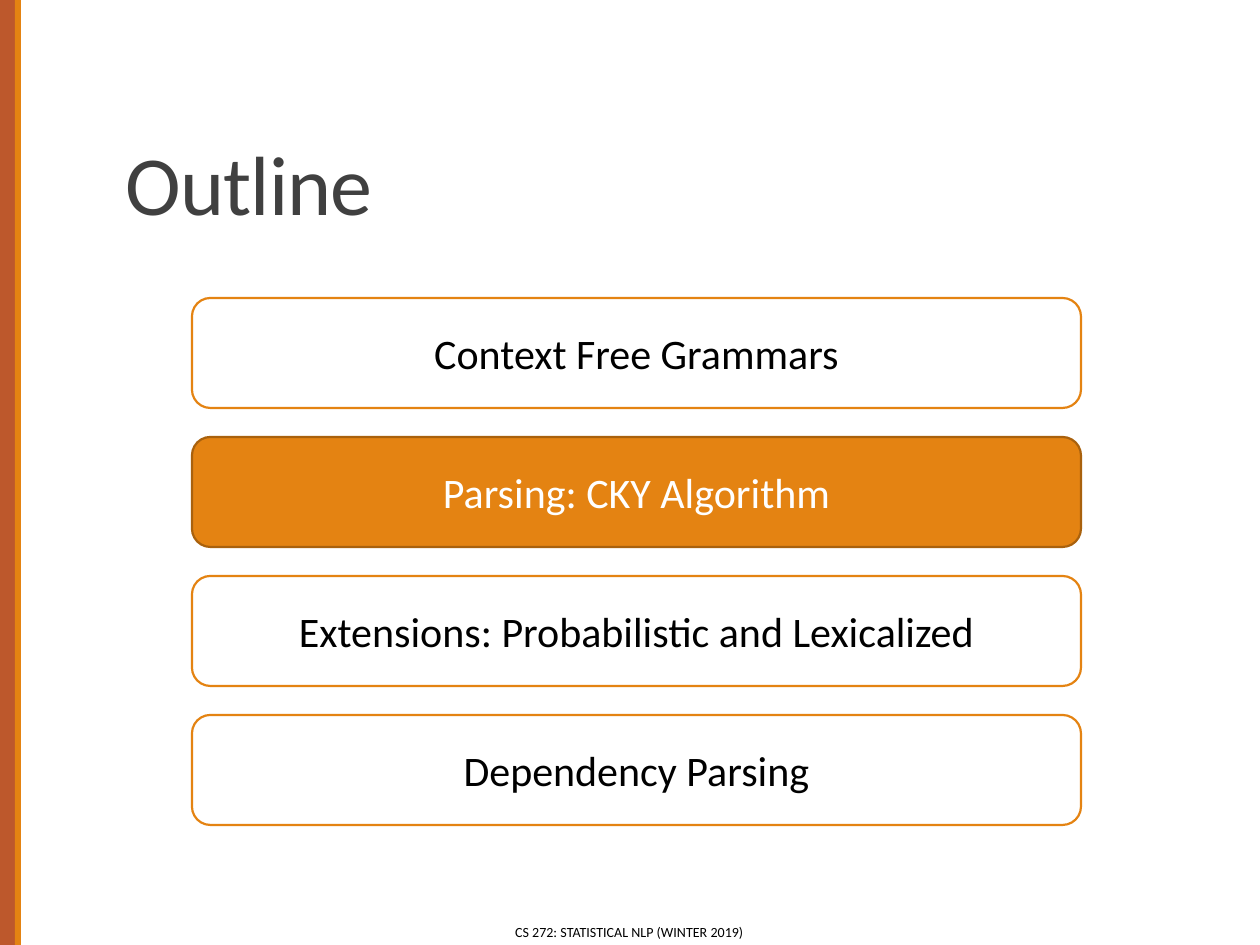
from pptx import Presentation
from pptx.dml.color import RGBColor
from pptx.enum.shapes import MSO_SHAPE as Shape
from pptx.enum.text import MSO_ANCHOR as Anchor, MSO_AUTO_SIZE as AutoSize, PP_ALIGN as Align
from pptx.util import Emu, Pt

PX = 914400 / 126
PAGE_W, PAGE_H = 1260, 945
FONT = "Calibri"

RUST = RGBColor(0xBD, 0x58, 0x2C)
ORANGE = RGBColor(0xE4, 0x83, 0x12)
DARK_ORANGE = RGBColor(0xA9, 0x61, 0x0D)
GREY = RGBColor(0x40, 0x40, 0x40)
BLACK = RGBColor(0, 0, 0)
WHITE = RGBColor(0xFF, 0xFF, 0xFF)

TOPICS = [
    "Context Free Grammars",
    "Parsing: CKY Algorithm",
    "Extensions: Probabilistic and Lexicalized",
    "Dependency Parsing",
]
CURRENT = "Parsing: CKY Algorithm"


def px(*lengths):
    return [Emu(round(length * PX)) for length in lengths]


def write(shape, text, size, color, align=Align.CENTER, anchor=Anchor.MIDDLE,
          line_spacing=None, tracking=None):
    frame = shape.text_frame
    frame.word_wrap = True
    frame.auto_size = AutoSize.NONE
    frame.vertical_anchor = anchor
    para = frame.paragraphs[0]
    para.alignment = align
    para.line_spacing = line_spacing
    span = para.add_run()
    span.text = text
    span.font.name = FONT
    span.font.size = Pt(size)
    span.font.color.rgb = color
    if tracking is not None:
        span._r.get_or_add_rPr().set("spc", str(tracking))


def add_block(page, kind, box, fill, line=None):
    block = page.shapes.add_shape(kind, *px(*box))
    block.shadow.inherit = False
    block.fill.solid()
    block.fill.fore_color.rgb = fill
    if line is None:
        block.line.fill.background()
    else:
        block.line.color.rgb = line
        block.line.width = Pt(1.25)
    return block


def add_side_stripes(page, box):
    left, top, width, height = box
    accent = 6
    add_block(page, Shape.RECTANGLE, box, RUST)
    add_block(page, Shape.RECTANGLE,
              (left + width - accent, top, accent, height), ORANGE)


def add_title(page, box):
    title = page.shapes.title
    title.left, title.top, title.width, title.height = px(*box)
    write(title, "Outline", 48, GREY, align=Align.LEFT, anchor=Anchor.BOTTOM,
          line_spacing=0.85, tracking=-50)


def add_topics(page, box, gap=29):
    left, top, width, height = box
    row = (height - gap * (len(TOPICS) - 1)) / len(TOPICS)
    for index, topic in enumerate(TOPICS):
        if topic == CURRENT:
            fill, line, color = ORANGE, DARK_ORANGE, WHITE
        else:
            fill, line, color = WHITE, ORANGE, BLACK
        place = (left, top + index * (row + gap), width, row)
        block = add_block(page, Shape.ROUNDED_RECTANGLE, place, fill, line)
        write(block, topic, 24, color)


def add_footer(page, box):
    footer = page.shapes.add_textbox(*px(*box))
    write(footer, "CS 272: STATISTICAL NLP (WINTER 2019)", 8, BLACK)


def main():
    deck = Presentation()
    deck.slide_width, deck.slide_height = px(PAGE_W, PAGE_H)
    page = deck.slides.add_slide(deck.slide_layouts[5])  # Title Only
    add_side_stripes(page, (0, 0, 21, PAGE_H))
    add_title(page, (113, 39, 1040, 200))
    add_topics(page, (192, 298, 889, 527))
    add_footer(page, (380, 924, 499, 16))
    deck.save("out.pptx")


if __name__ == "__main__":
    main()
